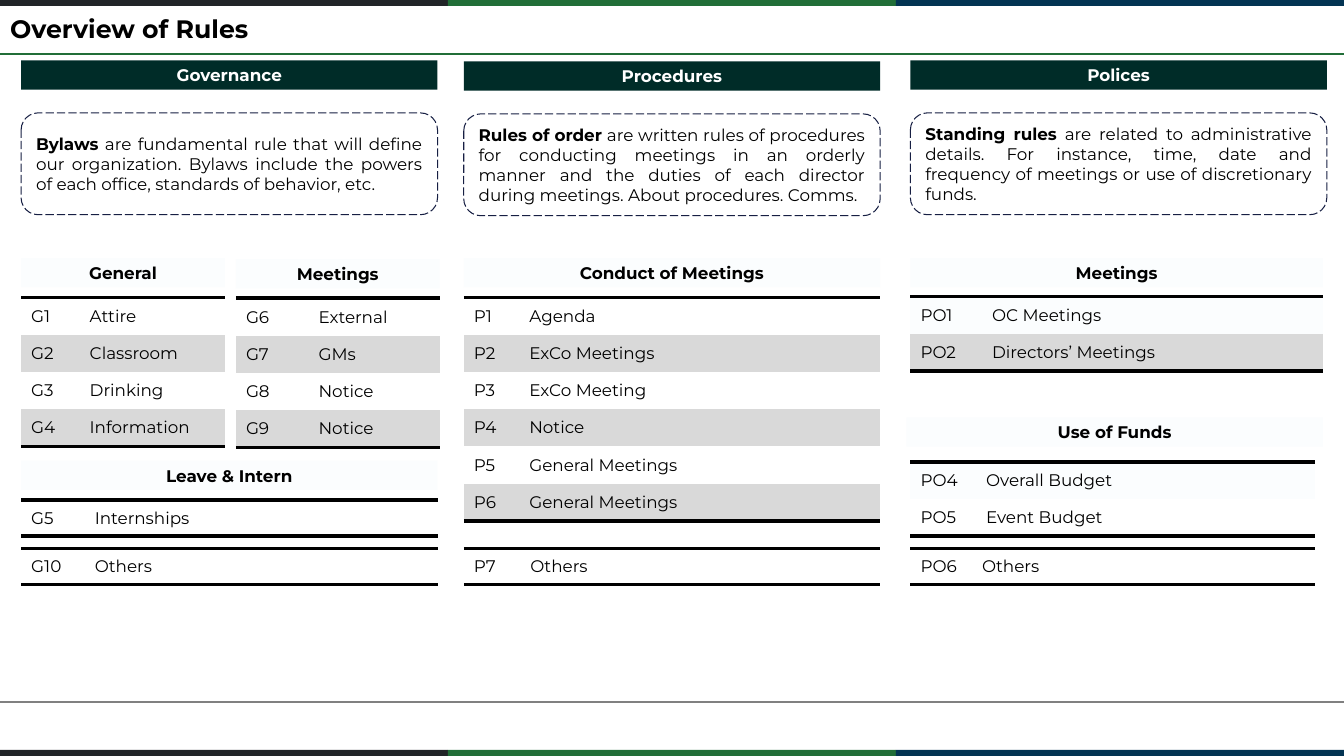
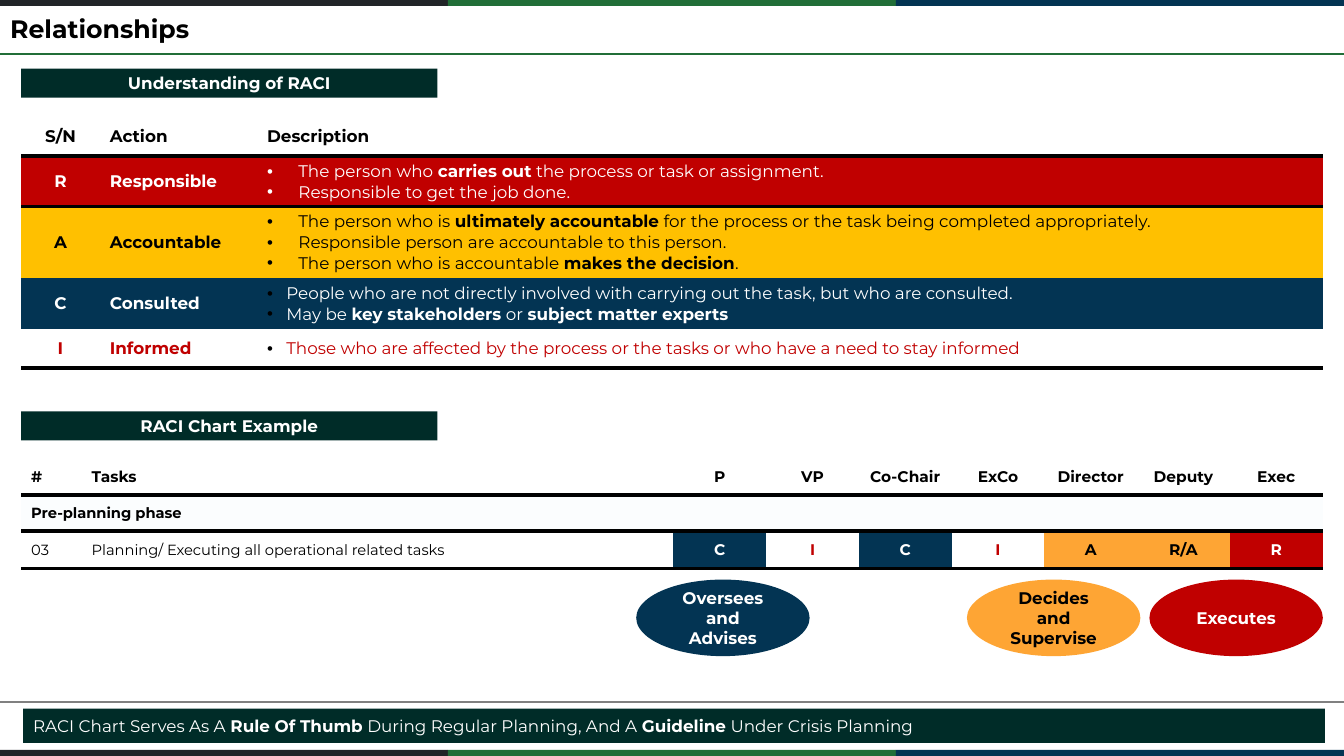
import lxml.etree
import pptx
import pptx.dml.color
import pptx.enum.dml
import pptx.enum.shapes
import pptx.enum.text
import pptx.oxml.ns
import pptx.util

Inches = pptx.util.Inches
Pt = pptx.util.Pt
RGBColor = pptx.dml.color.RGBColor
SHAPE = pptx.enum.shapes.MSO_SHAPE
ALIGN = pptx.enum.text.PP_ALIGN
qn = pptx.oxml.ns.qn

BLACK = RGBColor(0x00, 0x00, 0x00)
WHITE = RGBColor(0xFF, 0xFF, 0xFF)
CHARCOAL = RGBColor(0x21, 0x25, 0x28)
GREEN = RGBColor(0x21, 0x6E, 0x38)
NAVY = RGBColor(0x03, 0x34, 0x53)
DARK_GREEN = RGBColor(0x00, 0x2C, 0x28)
INDIGO = RGBColor(0x17, 0x1F, 0x43)
PALE = RGBColor(0xFB, 0xFD, 0xFE)
LIGHT_GREY = RGBColor(0xD9, 0xD9, 0xD9)
MID_GREY = RGBColor(0x80, 0x80, 0x80)
RED = RGBColor(0xC0, 0x00, 0x00)
YELLOW = RGBColor(0xFF, 0xC0, 0x00)
ORANGE = RGBColor(0xFE, 0xA5, 0x34)

FONT = "Montserrat"
SLIDE_WIDTH, SLIDE_HEIGHT = 13.33, 7.5
LEFT, BANNER_WIDTH, BAR_HEIGHT = 0.21, 4.13, 0.29
FULL_WIDTH = 12.91
NO_GRID_STYLE = "{2D5ABB26-0587-4C30-8999-92F81FD0307C}"

# Rules slide: left, banner top, banner, definition (** marks bold)
RULE_COLUMNS = [
    (LEFT, 0.6, "Governance",
     "**Bylaws** are fundamental rule that will define our organization. Bylaws include "
     "the powers of each office, standards of behavior, etc."),
    (4.6, 0.61, "Procedures",
     "**Rules of order** are written rules of procedures for conducting meetings in an "
     "orderly manner and the duties of each director during meetings. About procedures. "
     "Comms."),
    (9.03, 0.6, "Polices",
     "**Standing rules** are related to administrative details. For instance, time, date "
     "and frequency of meetings or use of discretionary funds."),
]

# Heading, left, top, width
RULE_HEADINGS = [
    ("General", LEFT, 2.56, 2.02),
    ("Meetings", 2.34, 2.57, 2.02),
    ("Leave & Intern", LEFT, 4.57, BANNER_WIDTH),
    ("Conduct of Meetings", 4.6, 2.56, BANNER_WIDTH),
    ("Meetings", 9.03, 2.56, 4.09),
    ("Use of Funds", 8.99, 4.14, BANNER_WIDTH),
]

# Left, top, column widths, alternating row fills, rows
RULE_TABLES = [
    (LEFT, 2.95, (0.58, 1.44), (None, LIGHT_GREY),
     [("G1", "Attire"), ("G2", "Classroom"), ("G3", "Drinking"), ("G4", "Information")]),
    (2.34, 2.96, (0.72, 1.3), (None, LIGHT_GREY),
     [("G6", "External"), ("G7", "GMs"), ("G8", "Notice"), ("G9", "Notice")]),
    (LEFT, 4.96, (0.63, 3.5), (None,), [("G5", "Internships")]),
    (LEFT, 5.44, (0.63, 3.5), (WHITE,), [("G10", "Others")]),
    (4.6, 2.95, (0.55, 3.58), (None, LIGHT_GREY),
     [("P1", "Agenda"), ("P2", "ExCo Meetings"), ("P3", "ExCo Meeting"),
      ("P4", "Notice"), ("P5", "General Meetings"), ("P6", "General Meetings")]),
    (4.6, 5.44, (0.56, 3.57), (WHITE,), [("P7", "Others")]),
    (9.03, 2.94, (0.71, 3.38), (PALE, LIGHT_GREY),
     [("PO1", "OC Meetings"), ("PO2", "Directors’ Meetings")]),
    (9.03, 4.58, (0.65, 3.36), (PALE, WHITE),
     [("PO4", "Overall Budget"), ("PO5", "Event Budget")]),
    (9.03, 5.44, (0.61, 3.4), (WHITE,), [("PO6", "Others")]),
]

# Relationships slide
RACI_BANNERS = [("Understanding of RACI", 0.68), ("RACI Chart Example", 4.08)]
RACI_HEADER = ("S/N", "Action", "Description")
# Letter, action, fill, text colour, bullet colour, bullet indent, row height, description
RACI_ROLES = [
    ("R", "Responsible", RED, WHITE, WHITE, 0.31, 0.5,
     ["The person who **carries out** the process or task or assignment.",
      "Responsible to get the job done."]),
    ("A", "Accountable", YELLOW, BLACK, BLACK, 0.31, 0.71,
     ["The person who is **ultimately accountable** for the process or the task being "
      "completed appropriately.",
      "Responsible person are accountable to this person.",
      "The person who is accountable **makes the decision**."]),
    ("C", "Consulted", NAVY, WHITE, BLACK, 0.19, 0.5,
     ["People who are not directly involved with carrying out the task, but who are "
      "consulted.",
      "May be **key stakeholders** or **subject matter experts**"]),
    ("I", "Informed", None, RED, BLACK, 0.19, 0.39,
     ["Those who are affected by the process or the tasks or who have a need to stay "
      "informed"]),
]

CHART_HEADER = ("#", "Tasks", "P", "VP", "Co-Chair", "ExCo", "Director", "Deputy", "Exec")
CHART_PHASE = "Pre-planning phase"
CHART_TASK = ("03", "Planning/ Executing all operational related tasks",
              "C", "I", "C", "I", "A", "R/A", "R")
CODE_COLORS = {"C": (NAVY, WHITE), "I": (None, RED), "A": (ORANGE, BLACK),
               "R/A": (ORANGE, BLACK), "R": (RED, WHITE)}
# Text, left, fill, text colour
ROLE_OVALS = [
    ("Oversees and Advises", 6.31, NAVY, WHITE),
    ("Decides and Supervise", 9.59, ORANGE, BLACK),
    ("Executes", 11.4, RED, WHITE),
]
TAKEAWAY = ("RACI Chart Serves As A **Rule Of Thumb** During Regular Planning, "
            "And A **Guideline** Under Crisis Planning")


def add_bullet(paragraph, color, indent):
    properties = paragraph._p.get_or_add_pPr()
    properties.set("marL", str(Inches(indent)))
    properties.set("indent", str(-Inches(indent)))
    bullet_color = lxml.etree.SubElement(properties, qn("a:buClr"))
    lxml.etree.SubElement(bullet_color, qn("a:srgbClr"), val=str(color))
    lxml.etree.SubElement(properties, qn("a:buFont"), typeface="Arial")
    lxml.etree.SubElement(properties, qn("a:buChar"), char="•")


def write(frame, texts, color=BLACK, size=12, bold=False, align=ALIGN.LEFT, bullet=None):
    """Write one paragraph per text; ** switches bold on and off."""
    frame.word_wrap = True
    for number, text in enumerate(texts):
        paragraph = frame.add_paragraph() if number else frame.paragraphs[0]
        if bullet:
            add_bullet(paragraph, *bullet)
        paragraph.alignment = align
        font = paragraph.font
        font.name, font.size, font.bold = FONT, Pt(size), bold
        font.color.rgb = color
        parts = text.split("**")
        for position, part in enumerate(parts):
            if part:
                run = paragraph.add_run()
                run.text = part
                if len(parts) > 1:
                    run.font.bold = position % 2 == 1


def add_box(slide, kind, left, top, width, height, fill=None):
    shape = slide.shapes.add_shape(
        kind, Inches(left), Inches(top), Inches(width), Inches(height))
    shape.shadow.inherit = False
    shape.line.fill.background()
    if fill is None:
        shape.fill.background()
    else:
        shape.fill.solid()
        shape.fill.fore_color.rgb = fill
    shape.text_frame.vertical_anchor = pptx.enum.text.MSO_ANCHOR.MIDDLE
    return shape


def add_bar(slide, text, left, top, width=BANNER_WIDTH, fill=DARK_GREEN, color=WHITE):
    bar = add_box(slide, SHAPE.RECTANGLE, left, top, width, BAR_HEIGHT, fill)
    write(bar.text_frame, [text], color, bold=True, align=ALIGN.CENTER)


def add_rule(slide, top, color):
    rule = slide.shapes.add_connector(
        pptx.enum.shapes.MSO_CONNECTOR.STRAIGHT,
        0, Inches(top), Inches(SLIDE_WIDTH), Inches(top))
    rule.line.color.rgb = color
    rule.line.width = Pt(1.5)
    lxml.etree.SubElement(rule._element.spPr, qn("a:effectLst"))


def add_grid(slide, left, top, widths, heights):
    table = slide.shapes.add_table(
        len(heights), len(widths), Inches(left), Inches(top),
        Inches(sum(widths)), Inches(sum(heights))).table
    table.first_row = table.horz_banding = False
    table._tbl.tblPr.find(qn("a:tableStyleId")).text = NO_GRID_STYLE
    for column, width in zip(table.columns, widths):
        column.width = Inches(width)
    for row, height in zip(table.rows, heights):
        row.height = Inches(height)
    return table


def add_borders(table, row, *sides):
    """Draw heavy lines on the given sides (lnT, lnB) of one table row."""
    for cell in table.rows[row].cells:
        for side in sides:
            line = lxml.etree.SubElement(
                cell._tc.get_or_add_tcPr(), qn("a:" + side), w=str(Pt(3)))
            fill = lxml.etree.SubElement(line, qn("a:solidFill"))
            lxml.etree.SubElement(fill, qn("a:srgbClr"), val=str(BLACK))


def fill_cell(cell, texts, fill=None, **style):
    cell.vertical_anchor = pptx.enum.text.MSO_ANCHOR.MIDDLE
    if fill is None:
        cell.fill.background()
    else:
        cell.fill.solid()
        cell.fill.fore_color.rgb = fill
    write(cell.text_frame, texts, **style)


def add_slide(presentation, title):
    """Start a slide with the shared bands, rules and title."""
    slide = presentation.slides.add_slide(presentation.slide_layouts[6])
    band_width, band_height = SLIDE_WIDTH / 3, 0.06
    for top in (0, SLIDE_HEIGHT - band_height):
        for number, color in enumerate((CHARCOAL, GREEN, NAVY)):
            add_box(slide, SHAPE.RECTANGLE, number * band_width, top,
                    band_width, band_height, color)
    add_rule(slide, 0.54, GREEN)
    add_rule(slide, 6.96, MID_GREY)
    box = slide.shapes.add_textbox(Inches(0.1), Inches(0.13), Inches(13.12), Inches(0.34))
    box.text_frame.margin_left = 0
    box.text_frame.vertical_anchor = pptx.enum.text.MSO_ANCHOR.MIDDLE
    write(box.text_frame, [title], size=18, bold=True)
    box.text_frame.paragraphs[0].line_spacing = 0.9
    return slide


def build_rules(presentation):
    slide = add_slide(presentation, "Overview of Rules")
    # Banners and definitions
    for left, top, banner, definition in RULE_COLUMNS:
        add_bar(slide, banner, left, top)
        box = add_box(slide, SHAPE.ROUNDED_RECTANGLE, left, top + 0.52, BANNER_WIDTH, 1.01)
        box.line.color.rgb = INDIGO
        box.line.width = Pt(0.75)
        box.line.dash_style = pptx.enum.dml.MSO_LINE.LONG_DASH
        write(box.text_frame, [definition], align=ALIGN.JUSTIFY)
    # Rule lists
    for heading, left, top, width in RULE_HEADINGS:
        add_bar(slide, heading, left, top, width, PALE, BLACK)
    for left, top, widths, fills, rows in RULE_TABLES:
        row_height = 0.37 if len(rows) > 1 else 0.36
        table = add_grid(slide, left, top, widths, [row_height] * len(rows))
        add_borders(table, 0, "lnT")
        add_borders(table, len(rows) - 1, "lnB")
        for row, texts in enumerate(rows):
            for column, text in enumerate(texts):
                fill_cell(table.cell(row, column), [text], fills[row % len(fills)])


def build_relationships(presentation):
    slide = add_slide(presentation, "Relationships")
    for text, top in RACI_BANNERS:
        add_bar(slide, text, LEFT, top)
    # Role definitions
    table = add_grid(slide, LEFT, 1.16, (0.78, 1.56, 10.57),
                     [0.39] + [role[6] for role in RACI_ROLES])
    add_borders(table, 1, "lnT")
    add_borders(table, len(RACI_ROLES), "lnB")
    aligns = (ALIGN.CENTER, ALIGN.LEFT, ALIGN.LEFT)
    for column, text in enumerate(RACI_HEADER):
        fill_cell(table.cell(0, column), [text], bold=True, align=aligns[column])
    for row, role in enumerate(RACI_ROLES, 1):
        letter, action, fill, color, bullet_color, indent, _, description = role
        for column, text in enumerate((letter, action)):
            fill_cell(table.cell(row, column), [text], fill, color=color, bold=True,
                      align=aligns[column])
        fill_cell(table.cell(row, 2), description, fill, color=color,
                  bullet=(bullet_color, indent))
    # Example chart
    chart = add_grid(slide, LEFT, 4.55, [0.6, 5.87] + [0.92] * 7, (0.36, 0.36, 0.37))
    add_borders(chart, 1, "lnT")
    add_borders(chart, 2, "lnB")
    chart.cell(1, 0).merge(chart.cell(1, 8))
    fill_cell(chart.cell(1, 0), [CHART_PHASE], PALE, size=10.5, bold=True)
    for column, (header, entry) in enumerate(zip(CHART_HEADER, CHART_TASK)):
        align = ALIGN.CENTER if column > 1 else ALIGN.LEFT
        fill, color = CODE_COLORS.get(entry, (None, BLACK))
        fill_cell(chart.cell(0, column), [header], size=11, bold=True, align=align)
        fill_cell(chart.cell(2, column), [entry], fill, color=color,
                  size=11 if column > 1 else 10.5, bold=column > 1, align=align)
    for text, left, fill, color in ROLE_OVALS:
        oval = add_box(slide, SHAPE.OVAL, left, 5.75, 1.72, 0.76, fill)
        write(oval.text_frame, [text], color, bold=True, align=ALIGN.CENTER)
    # Takeaway
    bar = add_box(slide, SHAPE.RECTANGLE, 0.23, 7.03, FULL_WIDTH, 0.34, DARK_GREEN)
    write(bar.text_frame, [TAKEAWAY], WHITE)


def main():
    presentation = pptx.Presentation()
    presentation.slide_width = Inches(SLIDE_WIDTH)
    presentation.slide_height = Inches(SLIDE_HEIGHT)
    build_rules(presentation)
    build_relationships(presentation)
    presentation.save("out.pptx")


if __name__ == "__main__":
    main()
